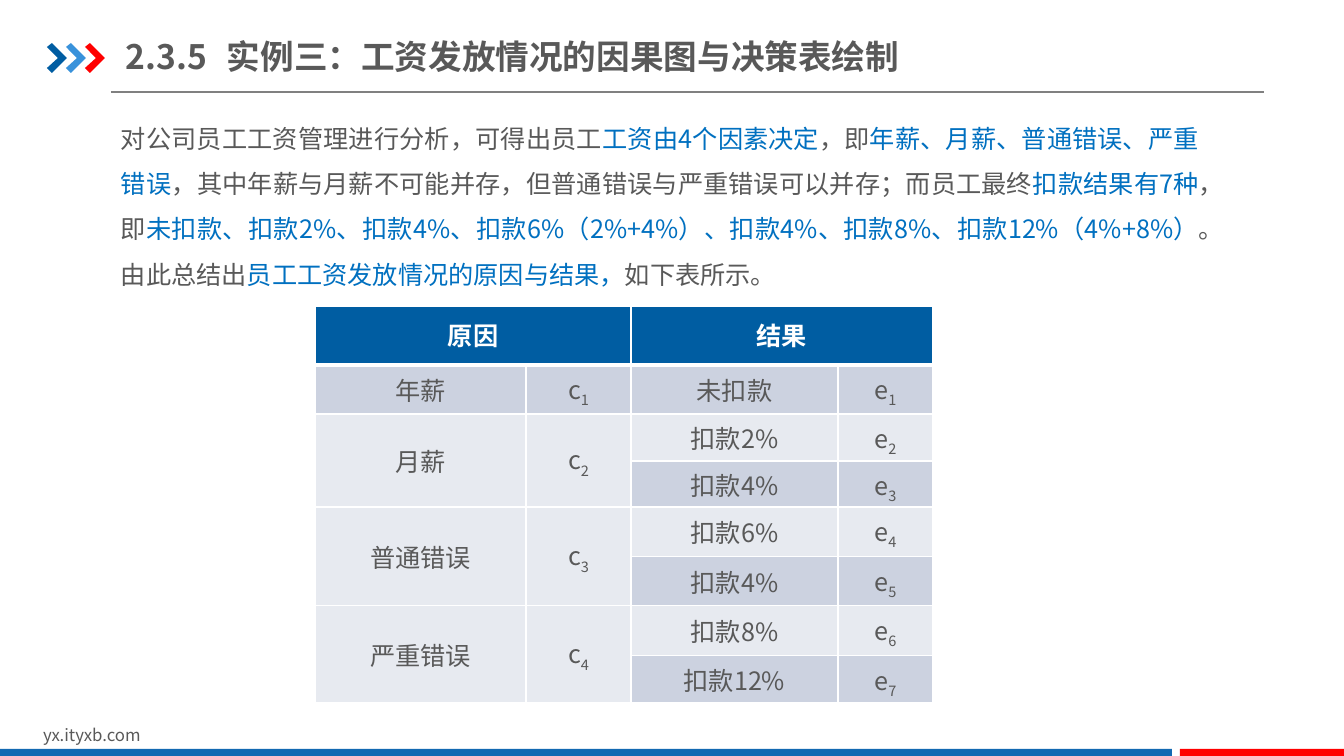
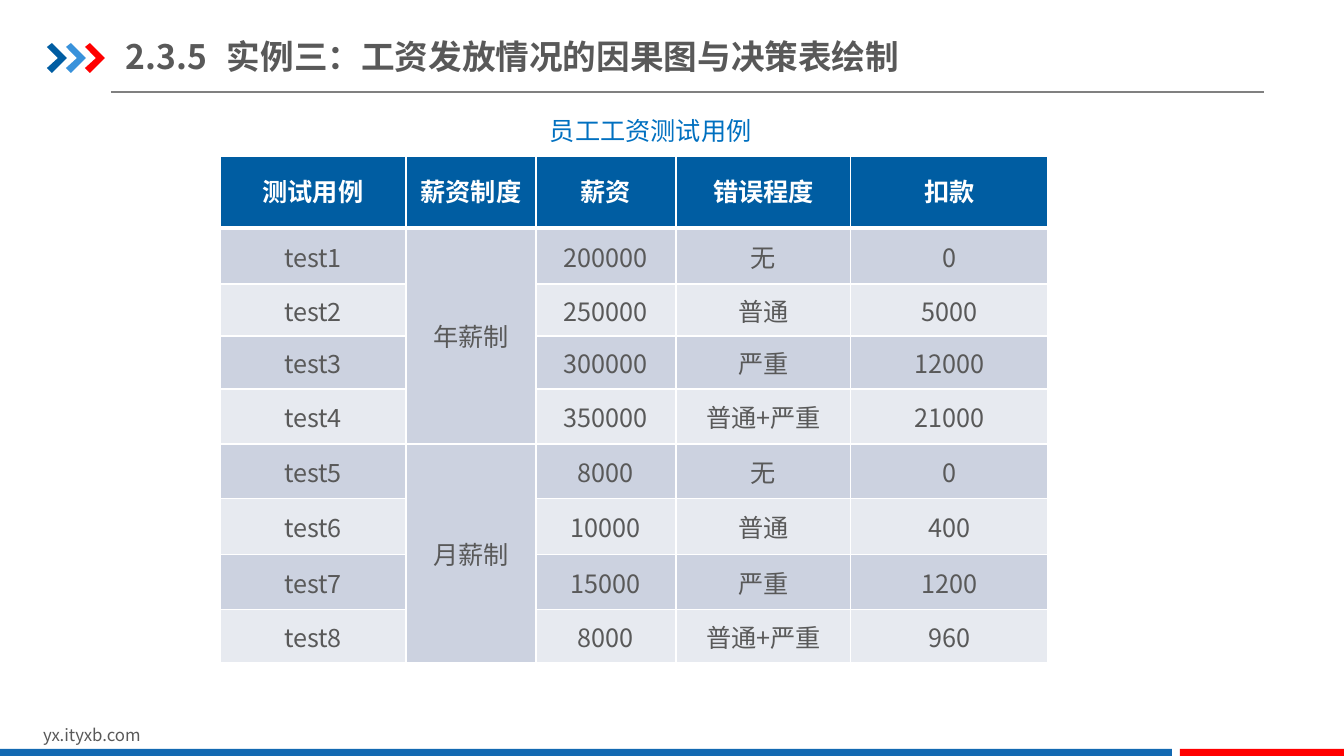
"""Build two slides on cause-effect and decision tables for salary payment."""
from lxml.etree import SubElement
from pptx import Presentation
from pptx.dml.color import RGBColor
from pptx.enum.lang import MSO_LANGUAGE_ID as LANG
from pptx.enum.shapes import MSO_CONNECTOR, MSO_SHAPE
from pptx.enum.text import MSO_ANCHOR as ANCHOR, PP_ALIGN as ALIGN
from pptx.oxml.ns import qn
from pptx.util import Pt

PX = 914400 / 100.8
FONT = "Noto Sans CJK SC"
COLORS = {
    "text": "595959", "accent": "0070C0", "white": "FFFFFF", "rule": "808080",
    "navy": "005DA2", "sky": "3992DB", "red": "FF0000", "band": "1369B2",
    "odd_row": "CCD2E0", "even_row": "E7EAF0",
}

TITLE = "2.3.5\t实例三：工资发放情况的因果图与决策表绘制"
FOOTER = "yx.ityxb.com"
CHEVRONS = [(47, "navy"), (66, "sky"), (85, "red")]
CHEVRON_TOP = 43
CHEVRON_OUTLINE = [(0, 4), (5, 0), (20, 15), (5, 30), (0, 25), (11, 15)]
BANDS = [(0, 1172, "band"), (1180, 164, "red")]

ANALYSIS = [
    ("对公司员工工资管理进行分析，可得出员工", "text"),
    ("工资由4个因素决定", "accent"),
    ("，即", "text"),
    ("年薪、月薪、普通错误、严重错误", "accent"),
    ("，其中年薪与月薪不可能并存，但普通错误与严重错误可以并存；而员工最终", "text"),
    ("扣款结果有7种", "accent"),
    ("，即", "text"),
    ("未扣款、扣款2%、扣款4%、扣款6%（2%+4%）、扣款4%、扣款8%、扣款12%（4%+8%）", "accent"),
    ("。由此总结出", "text"),
    ("员工工资发放情况的原因与结果，", "accent"),
    ("如下表所示。", "text"),
]
CAPTION = [("员工工资测试用例", "accent")]

CAUSES = {
    "at": (315, 306),
    "widths": [211, 105, 207, 95],
    "heights": [59, 49, 47, 46, 50, 49, 50, 47],
    "merges": [(0, 0, 0, 1), (0, 2, 0, 3)]
    + [(row, col, row + 1, col) for row in (2, 4, 6) for col in (0, 1)],
    "rows": [
        ("原因", "", "结果", ""),
        ("年薪", "c_1", "未扣款", "e_1"),
        ("月薪", "c_2", "扣款2%", "e_2"),
        ("", "", "扣款4%", "e_3"),
        ("普通错误", "c_3", "扣款6%", "e_4"),
        ("", "", "扣款4%", "e_5"),
        ("严重错误", "c_4", "扣款8%", "e_6"),
        ("", "", "扣款12%", "e_7"),
    ],
}
TESTS = {
    "at": (220, 156),
    "widths": [186, 130, 140, 175, 197],
    "heights": [72, 56, 52, 53, 55, 55, 56, 55, 53],
    "merges": [(1, 1, 4, 1), (5, 1, 8, 1)],
    "rows": [
        ("测试用例", "薪资制度", "薪资", "错误程度", "扣款"),
        ("test1", "年薪制", "200000", "无", "0"),
        ("test2", "", "250000", "普通", "5000"),
        ("test3", "", "300000", "严重", "12000"),
        ("test4", "", "350000", "普通+严重", "21000"),
        ("test5", "月薪制", "8000", "无", "0"),
        ("test6", "", "10000", "普通", "400"),
        ("test7", "", "15000", "严重", "1200"),
        ("test8", "", "8000", "普通+严重", "960"),
    ],
}


def px(*values):
    return [round(v * PX) for v in values]


def rgb(name):
    return RGBColor.from_string(COLORS[name])


def add_run(p, text, color, size=18, bold=False):
    r = p.add_run()
    r.text = text
    r.font.size = Pt(size)
    r.font.bold = bold
    r.font.color.rgb = rgb(color)
    r.font.name = FONT
    r.font.language_id = LANG.SIMPLIFIED_CHINESE
    SubElement(r._r.get_or_add_rPr(), qn("a:ea"), typeface=FONT)
    return r


def add_text(s, box, insets, runs, anchor=ANCHOR.TOP, **style):
    tf = s.shapes.add_textbox(*px(*box)).text_frame
    tf.word_wrap = True
    tf.vertical_anchor = anchor
    tf.margin_left = tf.margin_right = px(insets[0])[0]
    tf.margin_top = tf.margin_bottom = px(insets[1])[0]
    p = tf.paragraphs[0]
    for text, color in runs:
        add_run(p, text, color, **style)
    return p


def add_body(s, box, runs):
    p = add_text(s, box, (13, 7), runs)
    p.alignment = ALIGN.JUSTIFY
    p.line_spacing = 1.5


def paint(sp, color):
    sp.shadow.inherit = False
    sp.fill.solid()
    sp.fill.fore_color.rgb = rgb(color)
    sp.line.fill.background()


def add_frame(s):
    rule = s.shapes.add_connector(MSO_CONNECTOR.STRAIGHT, *px(111, 92, 1264, 92))
    rule.line.color.rgb = rgb("rule")
    rule.line.width = Pt(0.75)
    SubElement(rule._element.spPr, qn("a:effectLst"))

    group = s.shapes.add_group_shape()
    for left, color in CHEVRONS:
        points = [(left + x, CHEVRON_TOP + y) for x, y in CHEVRON_OUTLINE]
        outline = group.shapes.build_freeform(*points[0], scale=PX)
        outline.add_line_segments(points[1:], close=True)
        paint(outline.convert_to_shape(), color)

    add_text(s, (33, 720, 321, 30), (10, 5), [(FOOTER, "text")], size=12)
    for left, width, color in BANDS:
        paint(s.shapes.add_shape(MSO_SHAPE.RECTANGLE, *px(left, 749, width, 7)), color)

    p = add_text(s, (126, 29, 800, 55), (0, 7), [(TITLE, "text")],
                 ANCHOR.MIDDLE, size=24, bold=True)
    tabs = SubElement(p._p.get_or_add_pPr(), qn("a:tabLst"))
    SubElement(tabs, qn("a:tab"), pos=str(px(101)[0]), algn="l")


def set_borders(cell, row):
    tc_pr = cell._tc.get_or_add_tcPr()
    thick = {"T": row == 1, "B": row == 0}
    for side in "LRTB":
        width = Pt(3 if thick.get(side) else 1)
        ln = SubElement(tc_pr, qn(f"a:ln{side}"), w=str(width))
        SubElement(SubElement(ln, qn("a:solidFill")), qn("a:srgbClr"), val=COLORS["white"])


def fill_cell(cell, row, text):
    header = row == 0
    set_borders(cell, row)
    cell.fill.solid()
    cell.fill.fore_color.rgb = rgb("navy" if header else "odd_row" if row % 2 else "even_row")
    cell.vertical_anchor = ANCHOR.MIDDLE
    p = cell.text_frame.paragraphs[0]
    p.alignment = ALIGN.CENTER
    if header:
        p.line_spacing = 0.9
    base, _, index = text.partition("_")
    color = "white" if header else "text"
    if base:
        add_run(p, base, color, bold=header)
    if index:
        r = add_run(p, index, color)
        r._r.get_or_add_rPr().set("baseline", "-25000")


def add_grid(s, data):
    rows, widths, heights = data["rows"], data["widths"], data["heights"]
    box = px(*data["at"], sum(widths), sum(heights))
    table = s.shapes.add_table(len(rows), len(widths), *box).table
    table.horz_banding = False
    for column, width in zip(table.columns, px(*widths)):
        column.width = width
    for row, height in zip(table.rows, px(*heights)):
        row.height = height
    for i, texts in enumerate(rows):
        for j, text in enumerate(texts):
            fill_cell(table.cell(i, j), i, text)
    for top, left, bottom, right in data["merges"]:
        table.cell(top, left).merge(table.cell(bottom, right))


def main():
    prs = Presentation()
    prs.slide_width, prs.slide_height = px(1344, 756)
    for box, runs, data in [
        ((108, 101, 1104, 197), ANALYSIS, CAUSES),
        ((537, 93, 245, 74), CAPTION, TESTS),
    ]:
        s = prs.slides.add_slide(prs.slide_layouts[6])
        add_frame(s)
        add_body(s, box, runs)
        add_grid(s, data)
    prs.save("out.pptx")


if __name__ == "__main__":
    main()
